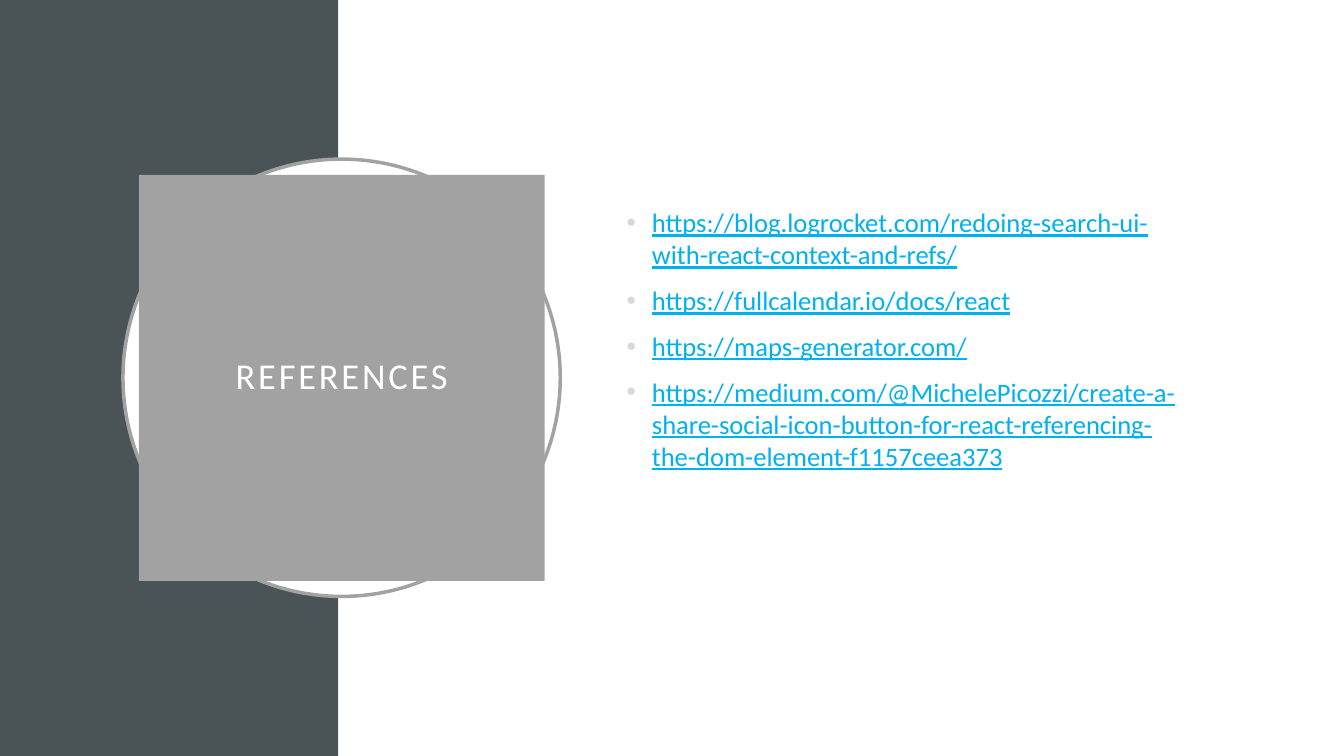
"""Build the references slide with a framed title and a list of web addresses."""
from lxml.etree import SubElement
from pptx import Presentation
from pptx.dml.color import RGBColor
from pptx.enum.shapes import MSO_SHAPE
from pptx.enum.text import MSO_ANCHOR, PP_ALIGN
from pptx.oxml.ns import qn
from pptx.util import Cm, Pt


def color(value):
    return RGBColor.from_string(value)


def style(target, values):
    for name, value in values.items():
        setattr(target, name, value)


deck = Presentation()
style(deck, {"slide_width": Cm(33.87), "slide_height": Cm(19.05)})
page = deck.slides.add_slide(deck.slide_layouts[6])

panels = [
    (MSO_SHAPE.RECTANGLE, 0, 0, 8.53, 19.05, "4A5356", None),
    (MSO_SHAPE.RECTANGLE, 8.53, 0, 25.34, 19.05, "FFFFFF", None),
    (MSO_SHAPE.OVAL, 3.1, 4.01, 11.02, 11.02, "FFFFFF", "A2A2A2"),
    (MSO_SHAPE.RECTANGLE, 3.5, 4.41, 10.23, 10.23, "A2A2A2", None),
]
for kind, left, top, width, height, fill, outline in panels:
    panel = page.shapes.add_shape(kind, Cm(left), Cm(top), Cm(width), Cm(height))
    panel.shadow.inherit = False
    panel.fill.solid()
    panel.fill.fore_color.rgb = color(fill)
    if outline:
        panel.line.color.rgb = color(outline)
        panel.line.width = Pt(2.5)
    else:
        panel.line.fill.background()

title = panel.text_frame
style(title, {"word_wrap": True, "vertical_anchor": MSO_ANCHOR.MIDDLE})
para = title.paragraphs[0]
style(para, {"alignment": PP_ALIGN.CENTER, "line_spacing": 0.9})
span = para.add_run()
span.text = "REFERENCES"
style(span.font, {"name": "Calibri", "size": Pt(26)})
span.font.color.rgb = color("FFFFFF")
span.font._element.set("spc", "200")

addresses = [
    "https://blog.logrocket.com/redoing-search-ui-with-react-context-and-refs/",
    "https://fullcalendar.io/docs/react",
    "https://maps-generator.com/",
    "https://medium.com/@MichelePicozzi/create-a-share-social-icon-button-for-react-referencing-the-dom-element-f1157ceea373",
]
box = page.shapes.add_textbox(Cm(15.54), Cm(3.89), Cm(14.78), Cm(9.3))
frame = box.text_frame
style(frame, {"word_wrap": True, "vertical_anchor": MSO_ANCHOR.MIDDLE})
for index, address in enumerate(addresses):
    para = frame.add_paragraph() if index else frame.paragraphs[0]
    para.space_before = Pt(10 if index else 0)
    settings = para._p.get_or_add_pPr()
    settings.set("marL", str(Cm(0.64)))
    settings.set("indent", str(Cm(-0.64)))
    bullet_color = SubElement(settings, qn("a:buClr"))
    SubElement(bullet_color, qn("a:srgbClr"), val="D8D8D8")
    SubElement(settings, qn("a:buFont"), typeface="Arial")
    SubElement(settings, qn("a:buChar"), char="•")
    span = para.add_run()
    span.text = address
    style(span.font, {"name": "Calibri", "size": Pt(19), "underline": True})
    span.font.color.rgb = color("00B0F0")

deck.save("out.pptx")
